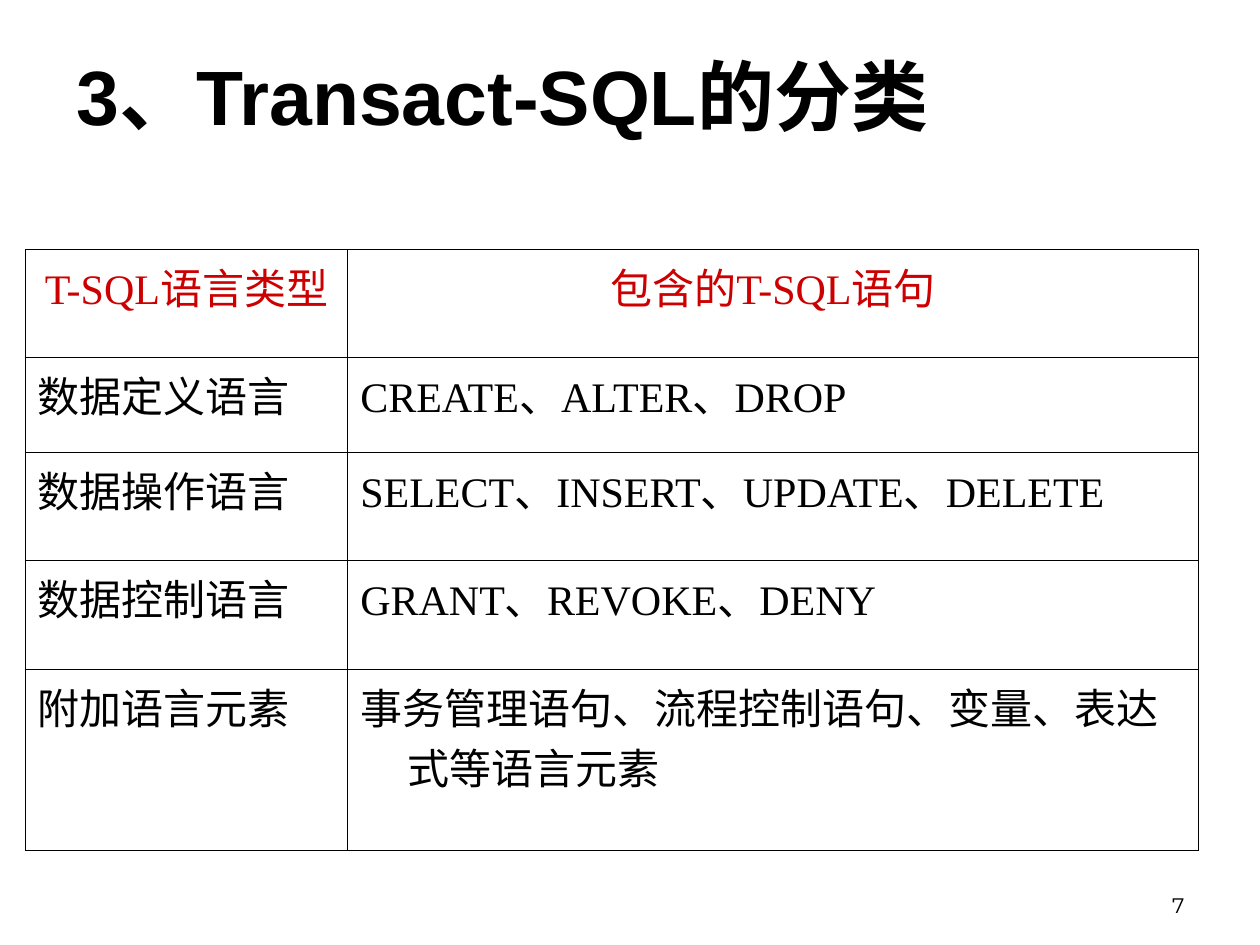
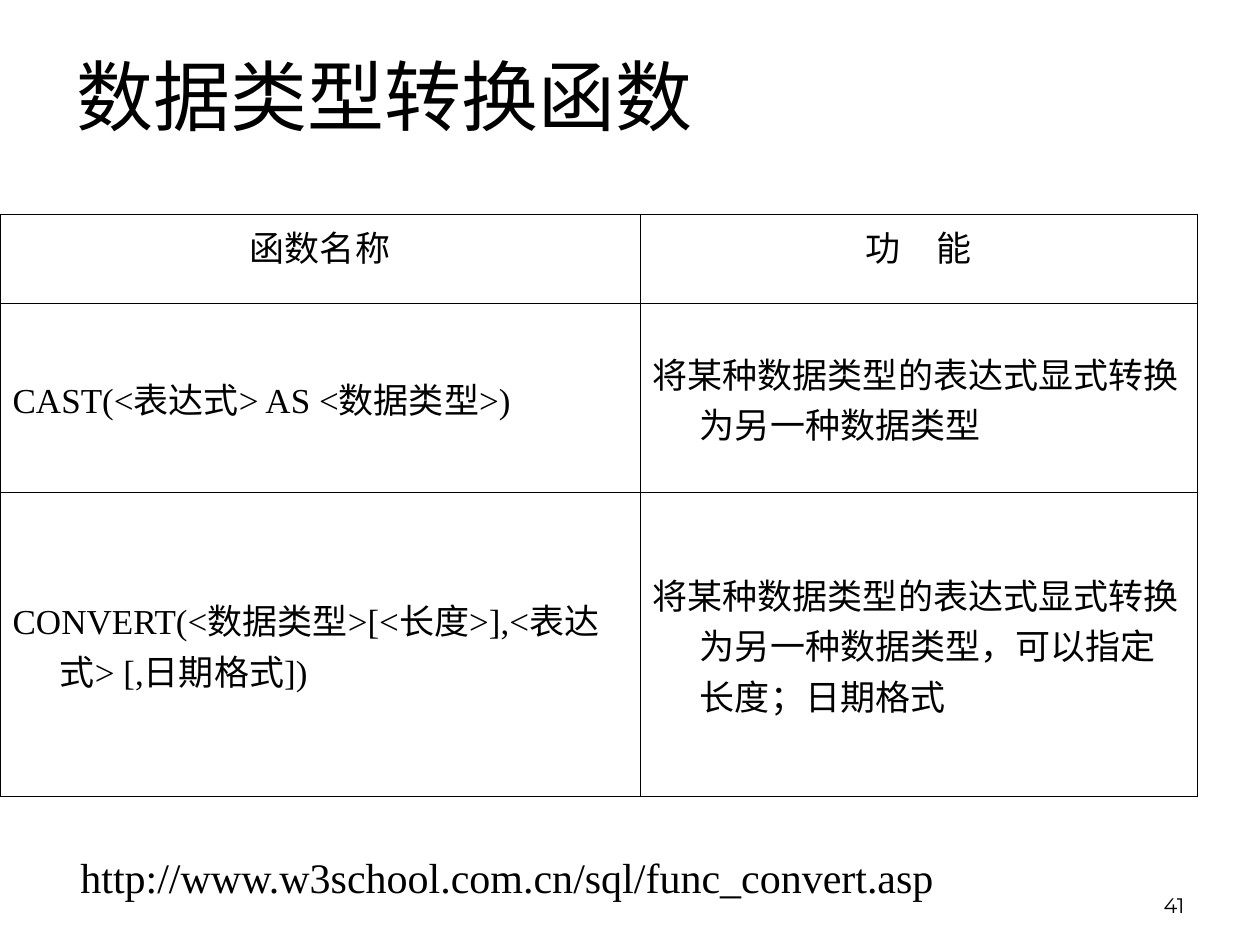
import pptx
import pptx.util
import pptx.dml.color
import pptx.enum.text
import pptx.oxml.ns
import lxml.etree

Pt = pptx.util.Pt
Align = pptx.enum.text.PP_ALIGN
Anchor = pptx.enum.text.MSO_ANCHOR
hues = {"ink": "000000", "head": "CC0000"}
faces = {"title": "Arial", "page": "Montserrat", "body": "Times New Roman"}

deck = pptx.Presentation()
deck.slide_width = pptx.util.Inches(10)
deck.slide_height = pptx.util.Inches(7.5)
unit = deck.slide_width / 100
hang = 3.75 * unit


def style(para, face, size, hue="ink", align=Align.LEFT, bold=False):
    para.alignment = align
    for run in para.runs:
        run.font.name = faces[face]
        run.font.size = Pt(size)
        run.font.bold = bold
        run.font.color.rgb = pptx.dml.color.RGBColor.from_string(hues[hue])


def label(slide, box, text, anchor, wrap, *look, **more):
    shape = slide.shapes.add_textbox(*[int(v * unit) for v in box])
    frame = shape.text_frame
    frame.word_wrap = wrap
    frame.vertical_anchor = anchor
    frame.text = text
    style(frame.paragraphs[0], *look, **more)


pages = [
    {
        "title": "3、Transact-SQL的分类", "bold": True, "page": "7",
        "left": 2, "top": 19.8, "size": 24, "head": "head", "anchor": Anchor.TOP,
        "cols": [25.6, 67.5], "rows": [8.6, 7.5, 8.6, 8.6, 14.4],
        "cells": [
            ["T-SQL语言类型", "包含的T-SQL语句"],
            ["数据定义语言", "CREATE、ALTER、DROP"],
            ["数据操作语言", "SELECT、INSERT、UPDATE、DELETE"],
            ["数据控制语言", "GRANT、REVOKE、DENY"],
            ["附加语言元素", "事务管理语句、流程控制语句、变量、表达式等语言元素"],
        ],
        "link": "",
    },
    {
        "title": "数据类型转换函数", "bold": False, "page": "41",
        "left": 0, "top": 17, "size": 20, "head": "ink", "anchor": Anchor.MIDDLE,
        "cols": [50.8, 44.2], "rows": [7.1, 15, 24.1],
        "cells": [
            ["函数名称", "功　能"],
            ["CAST(<表达式> AS <数据类型>)", "将某种数据类型的表达式显式转换为另一种数据类型"],
            ["CONVERT(<数据类型>[<长度>],<表达式> [,日期格式])",
             "将某种数据类型的表达式显式转换为另一种数据类型，可以指定长度；日期格式"],
        ],
        "link": "http://www.w3school.com.cn/sql/func_convert.asp",
    },
]

for page in pages:
    slide = deck.slides.add_slide(deck.slide_layouts[6])
    label(slide, (71.7, 68.3, 23.3, 5), page["page"], Anchor.BOTTOM, True,
          "page", 12, align=Align.RIGHT)
    label(slide, (5.1, 0, 90, 15), page["title"], Anchor.MIDDLE, True,
          "title", 44, bold=page["bold"])

    cols, rows = page["cols"], page["rows"]
    box = page["left"], page["top"], sum(cols), sum(rows)
    table = slide.shapes.add_table(
        len(rows), len(cols), *[int(v * unit) for v in box]).table
    table.first_row = table.horz_banding = False
    for col, width in zip(table.columns, cols):
        col.width = int(width * unit)
    for row, height in zip(table.rows, rows):
        row.height = int(height * unit)

    for r, texts in enumerate(page["cells"]):
        for c, text in enumerate(texts):
            cell = table.cell(r, c)
            cell.text = text
            cell.vertical_anchor = page["anchor"] if r else Anchor.TOP
            para = cell.text_frame.paragraphs[0]
            props = para._p.get_or_add_pPr()
            props.set("marL", str(int(hang)))
            props.set("indent", str(-int(hang)))
            style(para, "body", page["size"], "ink" if r else page["head"],
                  Align.LEFT if r else Align.CENTER)
            edges = cell._tc.get_or_add_tcPr()
            for side in ("lnL", "lnR", "lnT", "lnB"):
                line = lxml.etree.SubElement(
                    edges, pptx.oxml.ns.qn("a:" + side), w=str(Pt(0.45)))
                fill = lxml.etree.SubElement(line, pptx.oxml.ns.qn("a:solidFill"))
                lxml.etree.SubElement(
                    fill, pptx.oxml.ns.qn("a:srgbClr"), val=hues["ink"])
            cell.fill.background()

    if page["link"]:
        label(slide, (5.3, 67.1, 69.9, 5), page["link"], Anchor.TOP, False,
              "body", 24, align=Align.CENTER)

deck.save("out.pptx")
